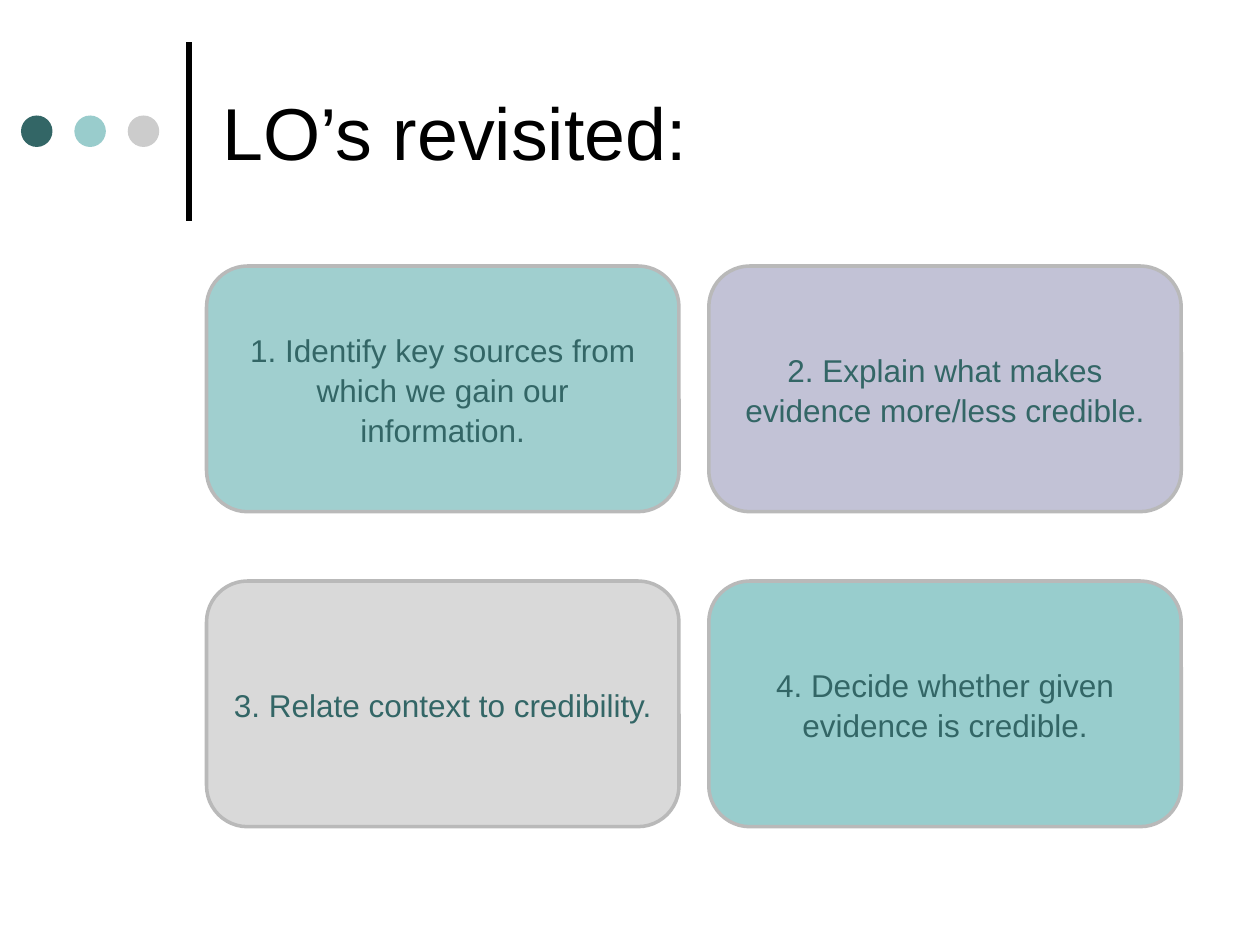
from lxml import etree
from pptx import Presentation
from pptx import util as u
from pptx.dml.color import RGBColor
from pptx.enum import shapes, text
from pptx.oxml import ns

FONT = "Arial"
TEAL = "336666"
DOTS = [TEAL, "99CCCC", "CCCCCC"]
OBJECTIVES = [
    ("1. Identify key sources from which we gain our information.", "A0CFCF"),
    ("2. Explain what makes evidence more/less credible.", "C2C2D6"),
    ("3. Relate context to credibility.", "D9D9D9"),
    ("4. Decide whether given evidence is credible.", "98CDCD"),
]


def color(hex_string):
    return RGBColor.from_string(hex_string)


def format_text(paragraph, size, font_color, alignment):
    paragraph.alignment = alignment
    for run in paragraph.runs:
        run.font.name = FONT
        run.font.size = u.Pt(size)
        run.font.color.rgb = color(font_color)


def add_filled_shape(slide, kind, left, top, width, height, fill):
    shape = slide.shapes.add_shape(
        kind, u.Pt(left), u.Pt(top), u.Pt(width), u.Pt(height))
    shape.shadow.inherit = False
    shape.fill.solid()
    shape.fill.fore_color.rgb = color(fill)
    shape.line.fill.background()
    return shape


def add_rule(slide, x, top, bottom):
    rule = slide.shapes.add_connector(
        shapes.MSO_CONNECTOR.STRAIGHT, u.Pt(x), u.Pt(bottom), u.Pt(x), u.Pt(top))
    rule.line.color.rgb = color("000000")
    rule.line.width = u.Pt(3)
    etree.SubElement(rule._element.spPr, ns.qn("a:effectLst"))


def set_title(slide, wording):
    title = slide.shapes.title
    title.left, title.top = u.Pt(120), u.Pt(15)
    title.width, title.height = u.Pt(552), u.Pt(120)
    frame = title.text_frame
    frame.text = wording
    frame.vertical_anchor = text.MSO_ANCHOR.MIDDLE
    format_text(frame.paragraphs[0], 42, "000000", text.PP_ALIGN.LEFT)


def add_card(slide, left, top, wording, fill):
    card = add_filled_shape(slide, shapes.MSO_SHAPE.ROUNDED_RECTANGLE,
                            left, top, 270, 140.4, fill)
    card.adjustments[0] = 0.167
    card.line.color.rgb = color("B9B9B9")
    card.line.width = u.Pt(2)
    frame = card.text_frame
    frame.word_wrap = True
    frame.vertical_anchor = text.MSO_ANCHOR.MIDDLE
    frame.text = wording
    paragraph = frame.paragraphs[0]
    paragraph.line_spacing = 1.05
    format_text(paragraph, 18, TEAL, text.PP_ALIGN.CENTER)


def main():
    presentation = Presentation()
    presentation.slide_width, presentation.slide_height = u.Pt(720), u.Pt(540)
    slide = presentation.slides.add_slide(presentation.slide_layouts[5])

    # Header: rule, dots and title
    add_rule(slide, 108, 24, 126)
    for index, fill in enumerate(DOTS):
        add_filled_shape(slide, shapes.MSO_SHAPE.OVAL,
                         12 + 30.5 * index, 66, 18, 18, fill)
    set_title(slide, "LO’s revisited:")

    # Objectives in a two-by-two grid
    for index, (wording, fill) in enumerate(OBJECTIVES):
        row, column = divmod(index, 2)
        add_card(slide, 118 + 287 * column, 152 + 180 * row, wording, fill)

    presentation.save("out.pptx")


if __name__ == "__main__":
    main()
